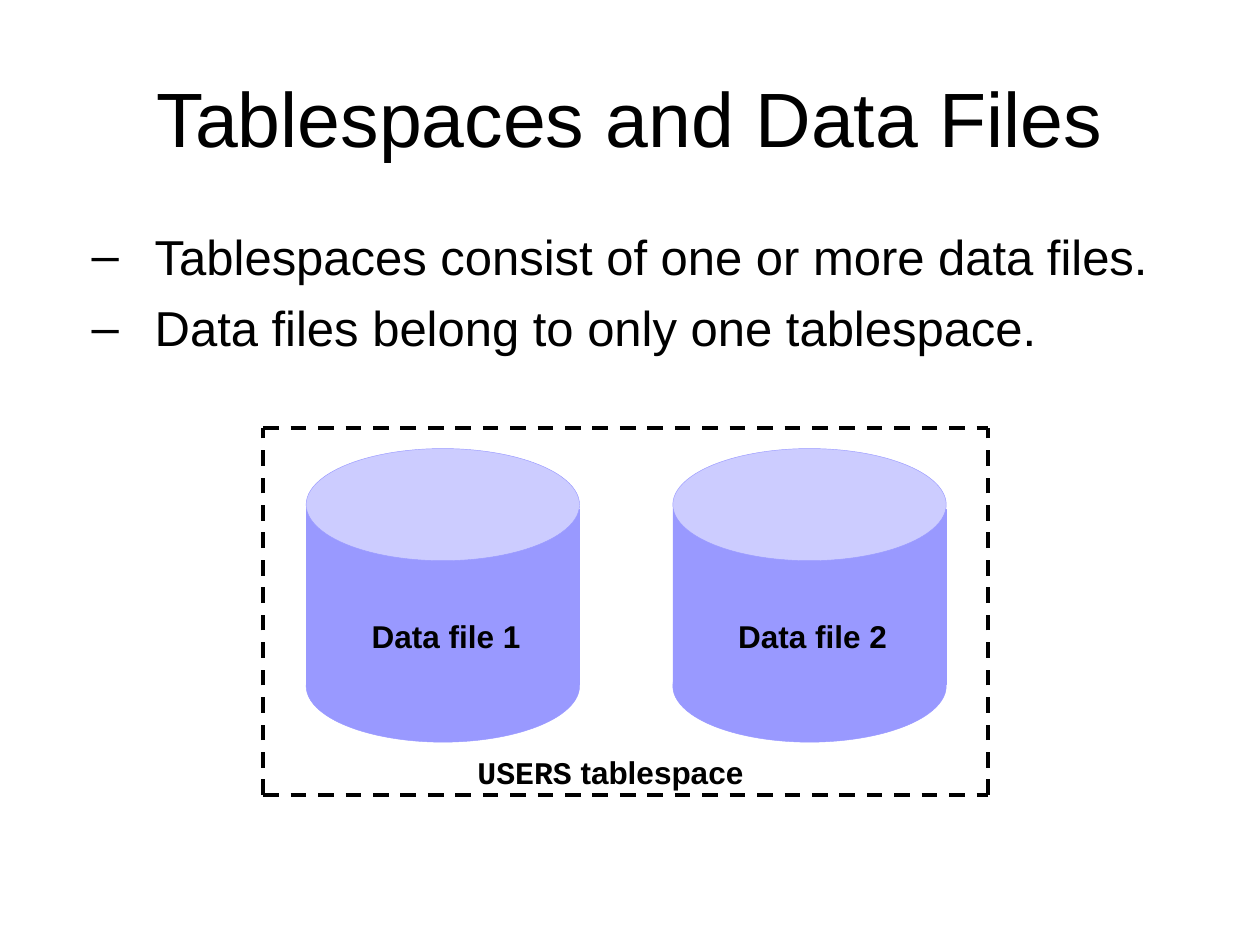
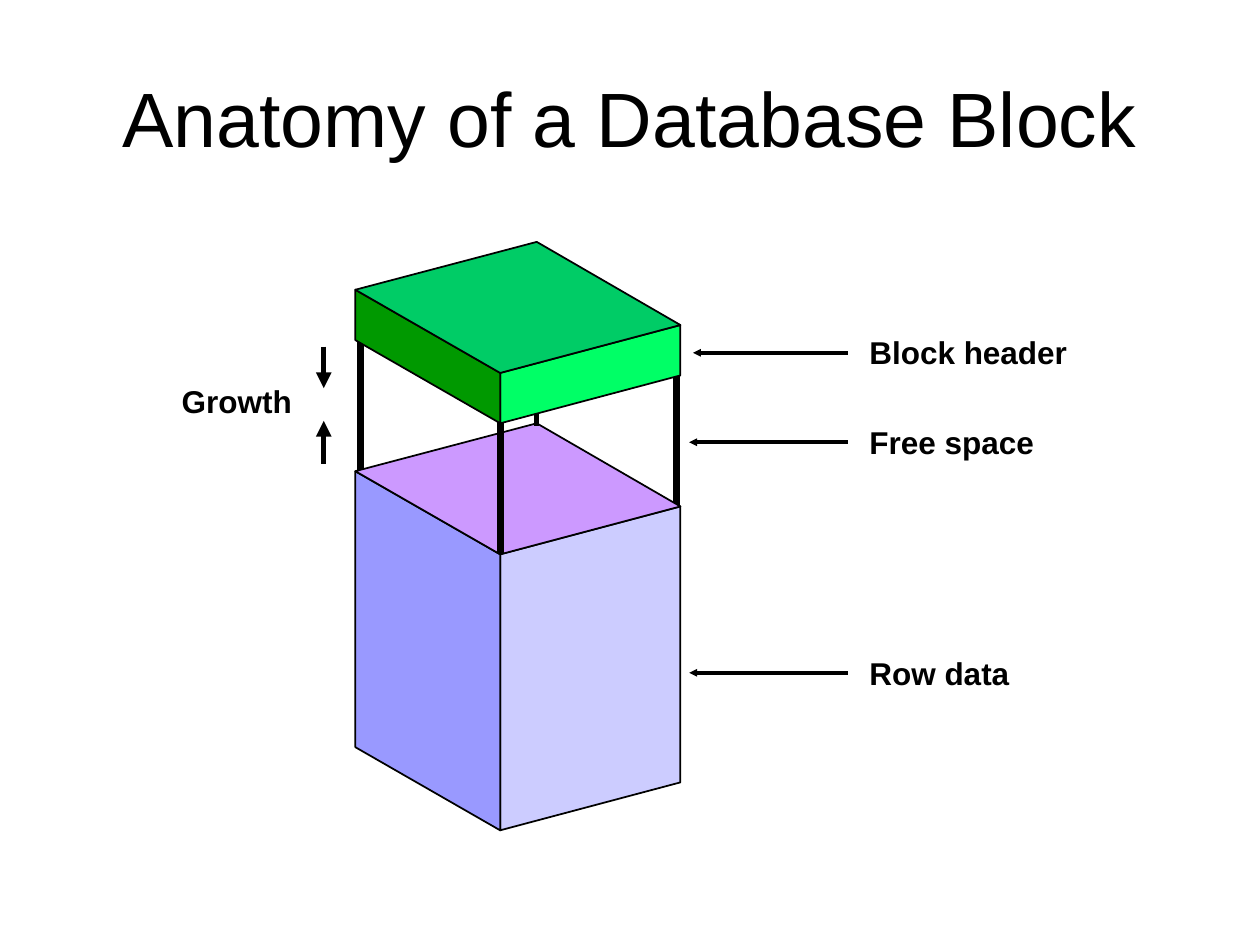
from lxml import etree
from pptx import Presentation
from pptx.dml.color import RGBColor
from pptx.enum.dml import MSO_LINE
from pptx.enum.shapes import MSO_CONNECTOR, MSO_SHAPE
from pptx.enum.text import MSO_ANCHOR, MSO_AUTO_SIZE, PP_ALIGN
from pptx.oxml.ns import qn
from pptx.util import Inches, Pt

STRAIGHT = MSO_CONNECTOR.STRAIGHT
RECT, OVAL = MSO_SHAPE.RECTANGLE, MSO_SHAPE.OVAL
LEFT, CENTER = PP_ALIGN.LEFT, PP_ALIGN.CENTER
TOP, MIDDLE = MSO_ANCHOR.TOP, MSO_ANCHOR.MIDDLE
GROW = MSO_AUTO_SIZE.SHAPE_TO_FIT_TEXT
DASH = MSO_LINE.DASH

COLORS = {
    "ink": "000000",
    "blue": "9999FF",
    "pale_blue": "CCCCFF",
    "violet": "CC99FF",
    "green": "00CC66",
    "dark_green": "009900",
    "bright_green": "00FF66",
}
SANS, MONO = "Arial", "Courier New"
COLUMNS, ROWS = 100, 75


def color(name):
    return RGBColor.from_string(COLORS[name])


class Deck:
    """Holds the presentation, its grid and the slide being filled."""

    def __init__(self):
        self.prs = Presentation()
        self.prs.slide_width, self.prs.slide_height = Inches(10), Inches(7.5)
        self.s = None

    def point(self, x, y):
        """Turn a column and a row of the grid into slide units."""
        return (round(x * self.prs.slide_width / COLUMNS),
                round(y * self.prs.slide_height / ROWS))

    def box(self, x, y, w, h):
        return self.point(x, y) + self.point(w, h)

    def slide(self, title):
        self.s = self.prs.slides.add_slide(self.prs.slide_layouts[6])
        self.text((5, 3, 90, 12.5), [title], size=44, align=CENTER, anchor=MIDDLE)

    def text(self, box, lines, size=18, bold=False, align=LEFT, anchor=TOP, inset=(0.1, 0.05),
             before=0, spacing=None, grow=False, bullet=None):
        """Each line is a string or a list of (string, font) runs."""
        tf = self.s.shapes.add_textbox(*self.box(*box)).text_frame
        tf.word_wrap, tf.vertical_anchor = True, anchor
        tf.margin_left = tf.margin_right = Inches(inset[0])
        tf.margin_top = tf.margin_bottom = Inches(inset[1])
        if grow:
            tf.auto_size = GROW
        for i, line in enumerate(lines):
            p = tf.paragraphs[0] if i == 0 else tf.add_paragraph()
            p.alignment, p.space_before = align, Pt(before)
            if spacing:
                p.line_spacing = spacing
            if bullet:
                self.add_bullet(p, bullet)
            for words, font in [(line, SANS)] if isinstance(line, str) else line:
                r = p.add_run()
                r.text = words
                r.font.name, r.font.size, r.font.bold = font, Pt(size), bold
                r.font.color.rgb = color("ink")

    def add_bullet(self, p, mark):
        pPr = p._p.get_or_add_pPr()
        pPr.set("marL", str(Inches(0.63)))
        pPr.set("indent", str(Inches(-0.5)))
        etree.SubElement(pPr, qn("a:buFont"), typeface=SANS)
        etree.SubElement(pPr, qn("a:buChar"), char=mark)

    def paint(self, sp, fill, line, width):
        sp.shadow.inherit = False
        sp.fill.solid()
        sp.fill.fore_color.rgb = color(fill)
        sp.line.color.rgb = color(line)
        sp.line.width = Pt(width)

    def shape(self, kind, box, fill, line="blue", width=0.25):
        self.paint(self.s.shapes.add_shape(kind, *self.box(*box)), fill, line, width)

    def polygon(self, corners, fill, line="ink", width=1):
        start, *rest = [self.point(*corner) for corner in corners]
        builder = self.s.shapes.build_freeform(*start)
        builder.add_line_segments(rest, close=True)
        self.paint(builder.convert_to_shape(), fill, line, width)

    def line(self, start, end, width=2.25, dash=None, arrow=None):
        """Arrow is the size of the head at the end: "sm", "med" or "lg"."""
        sp = self.s.shapes.add_connector(STRAIGHT, *self.point(*start), *self.point(*end))
        sp.line.color.rgb = color("ink")
        sp.line.width = Pt(width)
        if dash:
            sp.line.dash_style = dash
        spPr = sp._element.spPr
        if arrow:
            etree.SubElement(spPr.find(qn("a:ln")), qn("a:tailEnd"),
                             type="triangle", w=arrow, len=arrow)
        etree.SubElement(spPr, qn("a:effectLst"))

    def label(self, box, line):
        self.text(box, [line], bold=True, align=CENTER, inset=(0.06, 0.03),
                  spacing=0.85, grow=True)

    def cylinder(self, x, y, w=21.7, lid=8.9, drop=14.4):
        self.shape(RECT, (x, y + 4.8, w, 13.9), "blue")
        self.shape(OVAL, (x, y, w, lid), "pale_blue")
        self.shape(OVAL, (x, y + drop, w, lid), "blue")

    def prism(self, y, height, top, left, right):
        """Draw three visible faces; y is the row of the upper left corner."""
        upper = [(28.2, y), (39.7, y + 6.6), (54, y + 2.8), (42.6, y - 3.8)]
        lower = [(cx, cy + height) for cx, cy in upper]
        self.polygon(upper[1:3] + lower[2:0:-1], right)
        self.polygon(upper[:2] + lower[1::-1], left)
        self.polygon(upper, top)


def tablespaces_slide(deck):
    deck.slide("Tablespaces and Data Files")
    deck.text((5, 17.5, 90, 20.3),
              ["Tablespaces consist of one or more data files.",
               "Data files belong to only one tablespace."],
              size=28, before=7, bullet="–")
    left, top, right, bottom = 20.9, 34, 78.4, 63.1
    for y in (bottom, top):
        deck.line((left, y), (right, y), dash=DASH)
    for x in (left, right):
        deck.line((x, bottom), (x, top), dash=DASH)
    deck.label((34.3, 59.9, 28.3, 3.2), [("USERS", MONO), (" tablespace", SANS)])
    for i in range(2):
        x = 24.3 + i * 29.1
        deck.cylinder(x, 35.6)
        deck.label((x + 3.1, 49.1, 16, 3.2), f"Data file {i + 1}")


def block_slide(deck):
    deck.slide("Anatomy of a Database Block")
    for x, top, bottom in ((28.6, 26.8, 37.5), (53.7, 29.8, 40.1)):
        deck.line((x, top), (x, bottom), width=4)
    deck.prism(37.4, 21.9, "violet", "blue", "pale_blue")
    deck.line((39.7, 33.4), (39.7, 44), width=4)
    deck.line((42.6, 26.3), (42.6, 33.8), width=3)
    deck.prism(23, 4, "green", "dark_green", "bright_green")

    for name, y, width, arrow_y, tip in (("Block header", 25.9, 18.3, 28, 55),
                                         ("Free space", 33.1, 16.8, 35.1, 54.7),
                                         ("Row data", 51.4, 13.9, 53.4, 54.7)):
        deck.text((68.1, y, width, 3.9), [name], bold=True, inset=(0.09, 0.05),
                  before=11.2, grow=True)
        deck.line((67.3, arrow_y), (tip, arrow_y), arrow="sm")

    deck.text((12.8, 29.8, 12, 4), ["Growth"], bold=True, align=CENTER,
              before=4.5, grow=True)
    for start, end in ((36.8, 33.4), (27.5, 30.8)):
        deck.line((25.7, start), (25.7, end), width=3, arrow="med")


def main():
    deck = Deck()
    tablespaces_slide(deck)
    block_slide(deck)
    deck.prs.save("out.pptx")


if __name__ == "__main__":
    main()
